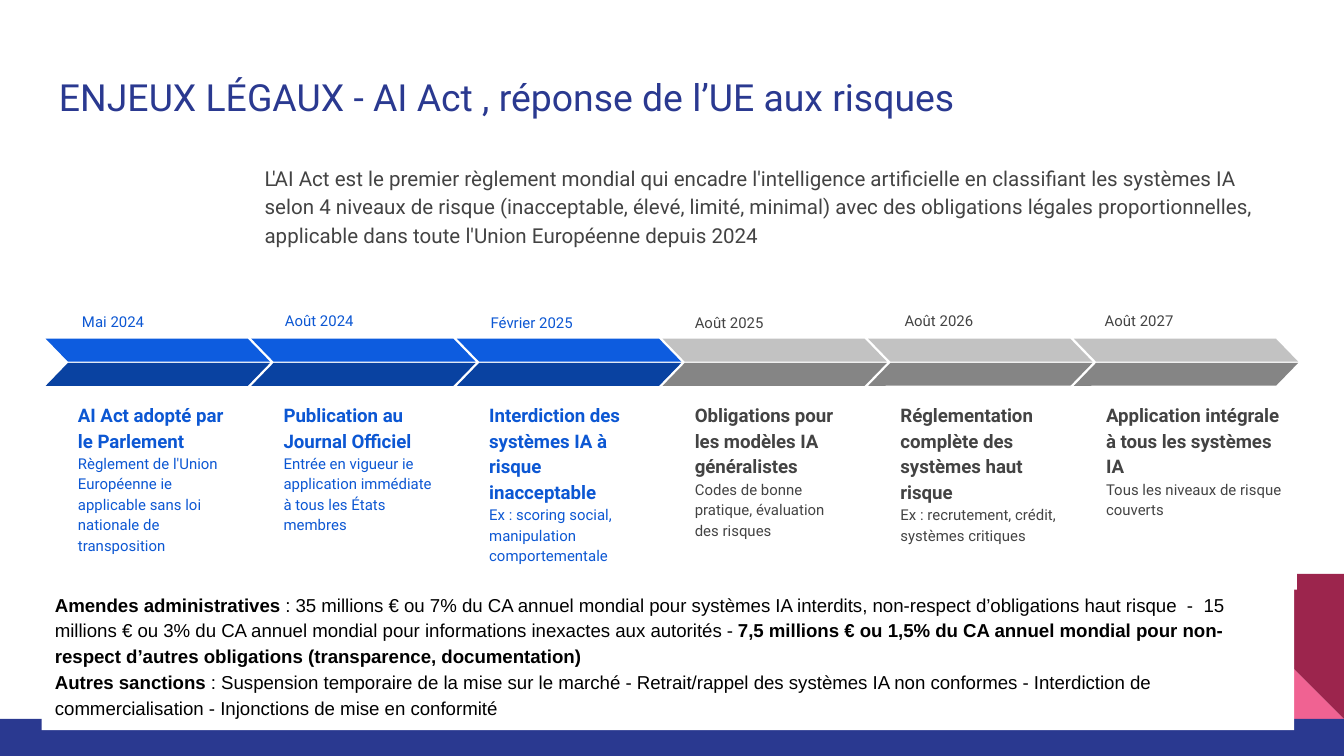
from pptx import Presentation
from pptx.dml.color import RGBColor
from pptx.enum.shapes import MSO_SHAPE
from pptx.enum.text import MSO_ANCHOR, PP_ALIGN
from pptx.util import Inches, Pt

RECT = MSO_SHAPE.RECTANGLE
TRIANGLE = MSO_SHAPE.RIGHT_TRIANGLE
SLANT = MSO_SHAPE.PARALLELOGRAM
TOP = MSO_ANCHOR.TOP
LEFT = PP_ALIGN.LEFT

THEME = {
    "navy": "2A3990", "pink": "F06292", "plum": "9C254D",
    "white": "FFFFFF", "black": "000000", "grey": "434343", "blue": "0C57D3",
    "done": ("0D5CDF", "0942A1"), "todo": ("C2C2C2", "858585"),
    "font": "Roboto", "plain": "Arial",
    "title": 20, "intro": 11, "head": 10, "small": 8,
}

prs = Presentation()
prs.slide_width = Inches(10)
prs.slide_height = Inches(5.625)
s = prs.slides.add_slide(prs.slide_layouts[6])
COL = prs.slide_width / 100
ROW = prs.slide_height / 100


def add_shape(kind, x, y, w, h, fill):
    sp = s.shapes.add_shape(kind, int(x * COL), int(y * ROW), int(w * COL), int(h * ROW))
    sp.shadow.inherit = False
    sp.line.fill.background()
    sp.fill.solid()
    sp.fill.fore_color.rgb = RGBColor.from_string(fill)
    return sp


def add_text(x, y, w, h, paras, color, font=THEME["font"], inset=0.1, spacing=1.15, fill=None):
    if fill:
        sp = add_shape(RECT, x, y, w, h, fill)
    else:
        sp = s.shapes.add_textbox(int(x * COL), int(y * ROW), int(w * COL), int(h * ROW))
    tf = sp.text_frame
    tf.word_wrap = True
    tf.vertical_anchor = TOP
    tf.margin_left = tf.margin_right = tf.margin_top = tf.margin_bottom = Inches(inset)
    for i, runs in enumerate(paras):
        p = tf.add_paragraph() if i else tf.paragraphs[0]
        p.alignment = LEFT
        p.line_spacing = spacing
        for text, size, bold in runs:
            r = p.add_run()
            r.text = text
            r.font.size = Pt(size)
            r.font.bold = bold
            r.font.name = font
            r.font.color.rgb = RGBColor.from_string(color)


CORNER_W = 10.8
CORNER_H = 19.2
FLOOR = 95.1
corner = (100 - CORNER_W, FLOOR - CORNER_H, CORNER_W, CORNER_H)
add_shape(TRIANGLE, *corner, THEME["pink"])
add_shape(TRIANGLE, *corner, THEME["plum"]).rotation = 180
add_shape(RECT, 0, FLOOR, 100, 100 - FLOOR, THEME["navy"])

add_text(3.4, 8, 93.2, 11.7,
         [[("ENJEUX LÉGAUX - AI Act , réponse de l’UE aux risques", THEME["title"], False)]],
         THEME["navy"], spacing=1)
add_text(18.7, 19.7, 77.9, 14.4,
         [[("L'AI Act est le premier règlement mondial qui encadre l'intelligence artificielle "
            "en classifiant les systèmes IA selon 4 niveaux de risque (inacceptable, élevé, "
            "limité, minimal) avec des obligations légales proportionnelles, applicable dans "
            "toute l'Union Européenne depuis 2024", THEME["intro"], False)]],
         THEME["grey"])

steps = [
    ("Mai 2024", 1.6, 39.6, "AI Act adopté par le Parlement",
     "Règlement de l'Union Européenne ie applicable sans loi nationale de transposition"),
    ("Août 2024", 1.4, 39.5, "Publication au Journal Officiel",
     "Entrée en vigueur ie application immédiate à tous les États membres"),
    ("Février 2025", 1.4, 39.8, "Interdiction des systèmes IA à risque inacceptable",
     "Ex : scoring social, manipulation comportementale"),
    ("Août 2025", 1.3, 39.8, "Obligations pour les modèles IA généralistes",
     "Codes de bonne pratique, évaluation des risques"),
    ("Août 2026", 1.6, 39.5, "Réglementation complète des systèmes haut risque",
     "Ex : recrutement, crédit, systèmes critiques"),
    ("Août 2027", 1.2, 39.5, "Application intégrale à tous les systèmes IA",
     "Tous les niveaux de risque couverts"),
]
STEP = 15.3
DONE = 3
WIDE_FROM = 4
BAR_TOP = 44.8
BAR_GAP = 3.2
BODY_TOP = 51

for i, (date, shift, date_top, head, detail) in enumerate(steps):
    x = 3.4 + i * STEP
    fills = THEME["done"] if i < DONE else THEME["todo"]
    color = THEME["blue"] if i < DONE else THEME["grey"]
    for row, fill in enumerate(fills):
        sp = add_shape(SLANT, x, BAR_TOP + row * BAR_GAP, 16.7, 3.05, fill)
        sp.adjustments[0] = 0.97
        if row == 0:
            sp._element.spPr.xfrm.set("flipH", "1")
    wide = i >= WIDE_FROM
    add_text(x + 1.3, BODY_TOP, 15.3 if wide else 13.8, 27,
             [[(head, THEME["head"], True)], [(detail, THEME["small"], False)]],
             color, inset=0.11, fill=THEME["white"] if wide else None)
    add_text(x + shift, date_top, 9.2, 5, [[(date, THEME["small"], False)]], color, inset=0.11)

size = THEME["head"]
add_text(3.1, 76.3, 93.2, 20.3, [
    [("Amendes administratives", size, True),
     (" : 35 millions € ou 7% du CA annuel mondial pour systèmes IA interdits, non-respect "
      "d’obligations haut risque  -  15 millions € ou 3% du CA annuel mondial pour "
      "informations inexactes aux autorités - ", size, False),
     ("7,5 millions € ou 1,5% du CA annuel mondial pour non-respect d’autres obligations "
      "(transparence, documentation)", size, True)],
    [("Autres sanctions", size, True),
     (" : Suspension temporaire de la mise sur le marché - Retrait/rappel des systèmes IA non "
      "conformes - Interdiction de commercialisation - Injonctions de mise en conformité",
      size, False)],
], THEME["black"], font=THEME["plain"], fill=THEME["white"])

prs.save("out.pptx")
